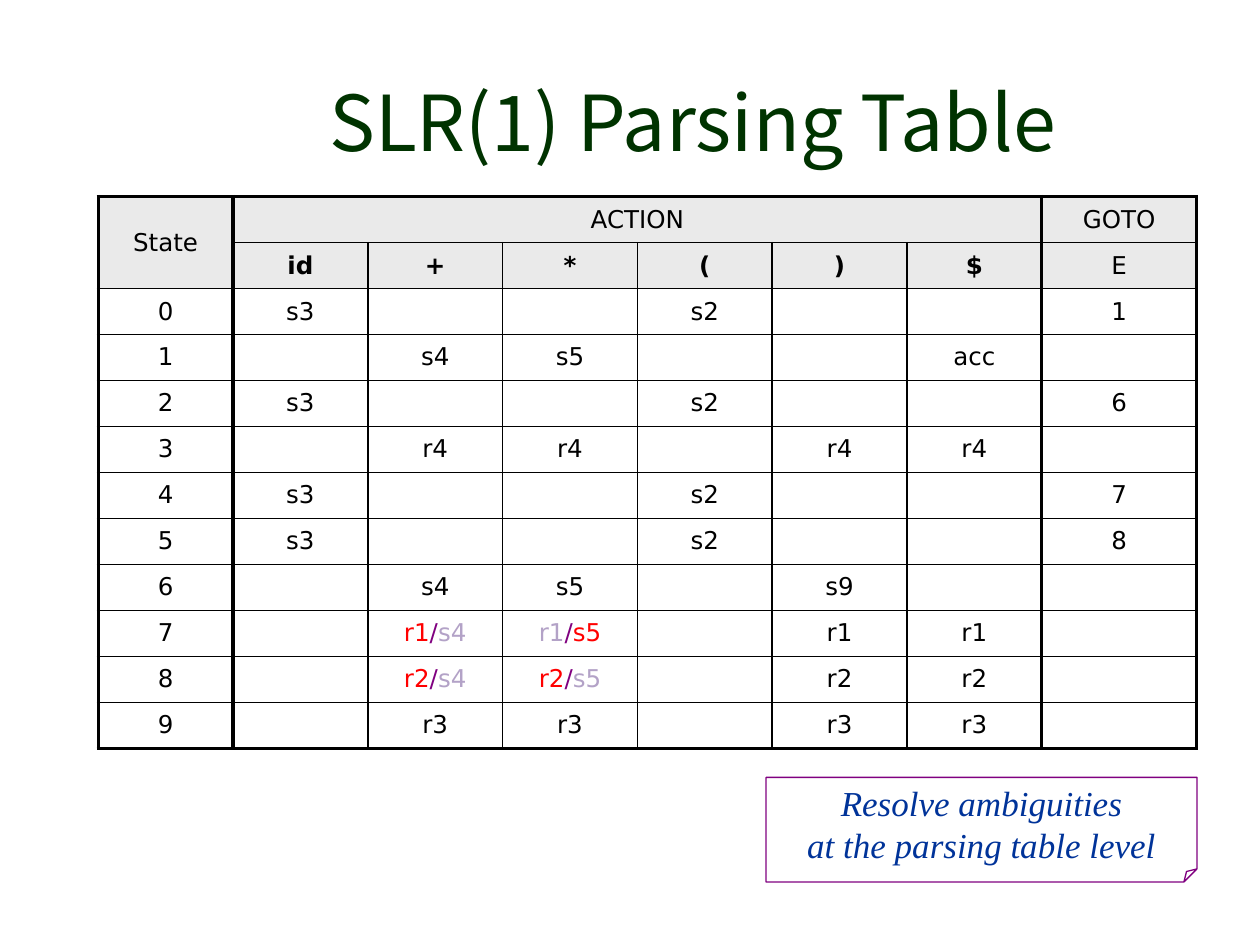
from dataclasses import dataclass

from lxml import etree
from pptx import Presentation, util as u
from pptx.dml.color import RGBColor
from pptx.enum import shapes, text
from pptx.oxml import ns

BODY_FONT = "DejaVu Sans"
BODY_SIZE = 14
BLACK, WHITE, GREY = "000000", "FFFFFF", "EAEAEA"
RED, PURPLE, LILAC = "FF0000", "800080", "B3A2C7"
THICK, THIN = 2.25, 1
TOKENS = ["id", "+", "*", "(", ")", "$"]
COLUMN_WIDTHS = [1.07] * 7 + [1.23]
TABLE_HEIGHT = 4.38
HEADER_ROWS = 2


@dataclass
class Span:
    text: str
    color: str = BLACK


@dataclass
class State:
    actions: dict
    goto: str = ""


def conflict(reduce: str, shift: str, chosen: str) -> list[Span]:
    first, second = [
        Span(action, RED if action == chosen else LILAC) for action in (reduce, shift)
    ]
    return [first, Span("/", PURPLE), second]


def reduce_row(rule: str, **conflicts: list[Span]) -> State:
    actions = dict.fromkeys(["+", "*", ")", "$"], rule)
    if conflicts:
        actions.update({"+": conflicts["plus"], "*": conflicts["times"]})
    return State(actions)


def shift_row(goto: str) -> State:
    return State({"id": "s3", "(": "s2"}, goto)


STATES = [
    shift_row("1"),
    State({"+": "s4", "*": "s5", "$": "acc"}),
    shift_row("6"),
    reduce_row("r4"),
    shift_row("7"),
    shift_row("8"),
    State({"+": "s4", "*": "s5", ")": "s9"}),
    reduce_row("r1", plus=conflict("r1", "s4", "r1"), times=conflict("r1", "s5", "s5")),
    reduce_row("r2", plus=conflict("r2", "s4", "r2"), times=conflict("r2", "s5", "r2")),
    reduce_row("r3"),
]


def rgb(value: str) -> RGBColor:
    return RGBColor.from_string(value)


def write(para, content, *, font: str = BODY_FONT, size: float = BODY_SIZE,
          color: str = BLACK, bold: bool = False, italic: bool = False) -> None:
    para.alignment = text.PP_ALIGN.CENTER
    spans = [Span(content, color)] if isinstance(content, str) else content
    for span in spans:
        run = para.add_run()
        run.text = span.text
        run.font.name = font
        run.font.size = u.Pt(size)
        run.font.bold = bold
        run.font.italic = italic
        run.font.color.rgb = rgb(span.color)


def add_border(cell, side: str, points: float) -> None:
    properties = cell._tc.get_or_add_tcPr()
    line = etree.SubElement(properties, ns.qn(f"a:ln{side}"), w=str(u.Pt(points)))
    fill = etree.SubElement(line, ns.qn("a:solidFill"))
    etree.SubElement(fill, ns.qn("a:srgbClr"), val=BLACK)


def weight(edge: int, heavy_edges: set[int]) -> float:
    return THICK if edge in heavy_edges else THIN


def fill_cell(table, row: int, column: int, content="", bold: bool = False) -> None:
    cell = table.cell(row, column)
    cell.vertical_anchor = text.MSO_ANCHOR.MIDDLE
    para = cell.text_frame.paragraphs[0]
    if content:
        write(para, content, bold=bold)
    else:
        etree.SubElement(para._p, ns.qn("a:endParaRPr"), sz=str(BODY_SIZE * 100))

    width = cell.span_width if cell.is_merge_origin else 1
    height = cell.span_height if cell.is_merge_origin else 1
    heavy_columns = {0, 1, len(COLUMN_WIDTHS) - 1, len(COLUMN_WIDTHS)}
    heavy_rows = {0, len(table.rows)}
    add_border(cell, "L", weight(column, heavy_columns))
    add_border(cell, "R", weight(column + width, heavy_columns))
    add_border(cell, "T", weight(row, heavy_rows))
    add_border(cell, "B", weight(row + height, heavy_rows))
    cell.fill.solid()
    cell.fill.fore_color.rgb = rgb(GREY if row < HEADER_ROWS else WHITE)


def add_title(page) -> None:
    box = page.shapes.add_textbox(u.Inches(1.5), u.Inches(0.33), u.Inches(8), u.Inches(1.25))
    frame = box.text_frame
    frame.word_wrap = True
    frame.vertical_anchor = text.MSO_ANCHOR.MIDDLE
    write(frame.paragraphs[0], "SLR(1) Parsing Table",
          font="Noto Sans CJK SC", size=44, color="003300")


def add_parsing_table(page) -> None:
    row_count = HEADER_ROWS + len(STATES)
    table = page.shapes.add_table(
        row_count, len(COLUMN_WIDTHS), u.Inches(0.78), u.Inches(1.56),
        u.Inches(sum(COLUMN_WIDTHS)), u.Inches(TABLE_HEIGHT),
    ).table
    table.first_row = False
    table.horz_banding = False
    for column, width in zip(table.columns, COLUMN_WIDTHS):
        column.width = u.Inches(width)

    goto_column = len(TOKENS) + 1
    table.cell(0, 0).merge(table.cell(1, 0))
    table.cell(0, 1).merge(table.cell(0, len(TOKENS)))
    fill_cell(table, 0, 0, "State")
    fill_cell(table, 0, 1, "ACTION")
    fill_cell(table, 0, goto_column, "GOTO")
    for column, token in enumerate(TOKENS, 1):
        fill_cell(table, 1, column, token, bold=True)
    fill_cell(table, 1, goto_column, "E")

    for number, state in enumerate(STATES):
        actions = [state.actions.get(token, "") for token in TOKENS]
        for column, content in enumerate([str(number), *actions, state.goto]):
            fill_cell(table, HEADER_ROWS + number, column, content)


def add_note(page) -> None:
    note = page.shapes.add_shape(
        shapes.MSO_SHAPE.FOLDED_CORNER,
        u.Inches(6.08), u.Inches(6.17), u.Inches(3.42), u.Inches(0.83),
    )
    guides = note._element.spPr.find(ns.qn("a:prstGeom")).get_or_add_avLst()
    etree.SubElement(guides, ns.qn("a:gd"), name="adj", fmla="val 12500")
    note.shadow.inherit = False
    note.fill.background()
    note.line.color.rgb = rgb(PURPLE)
    note.line.width = u.Pt(0.75)
    frame = note.text_frame
    frame.word_wrap = False
    frame.vertical_anchor = text.MSO_ANCHOR.MIDDLE
    lines = ["Resolve ambiguities", "at the parsing table level"]
    for index, line in enumerate(lines):
        para = frame.add_paragraph() if index else frame.paragraphs[0]
        write(para, line, font="Times New Roman", size=20, color="003399", italic=True)


def main() -> None:
    deck = Presentation()
    deck.slide_width = u.Inches(10)
    deck.slide_height = u.Inches(7.5)
    page = deck.slides.add_slide(deck.slide_layouts[6])
    add_title(page)
    add_parsing_table(page)
    add_note(page)
    deck.save("out.pptx")


if __name__ == "__main__":
    main()
